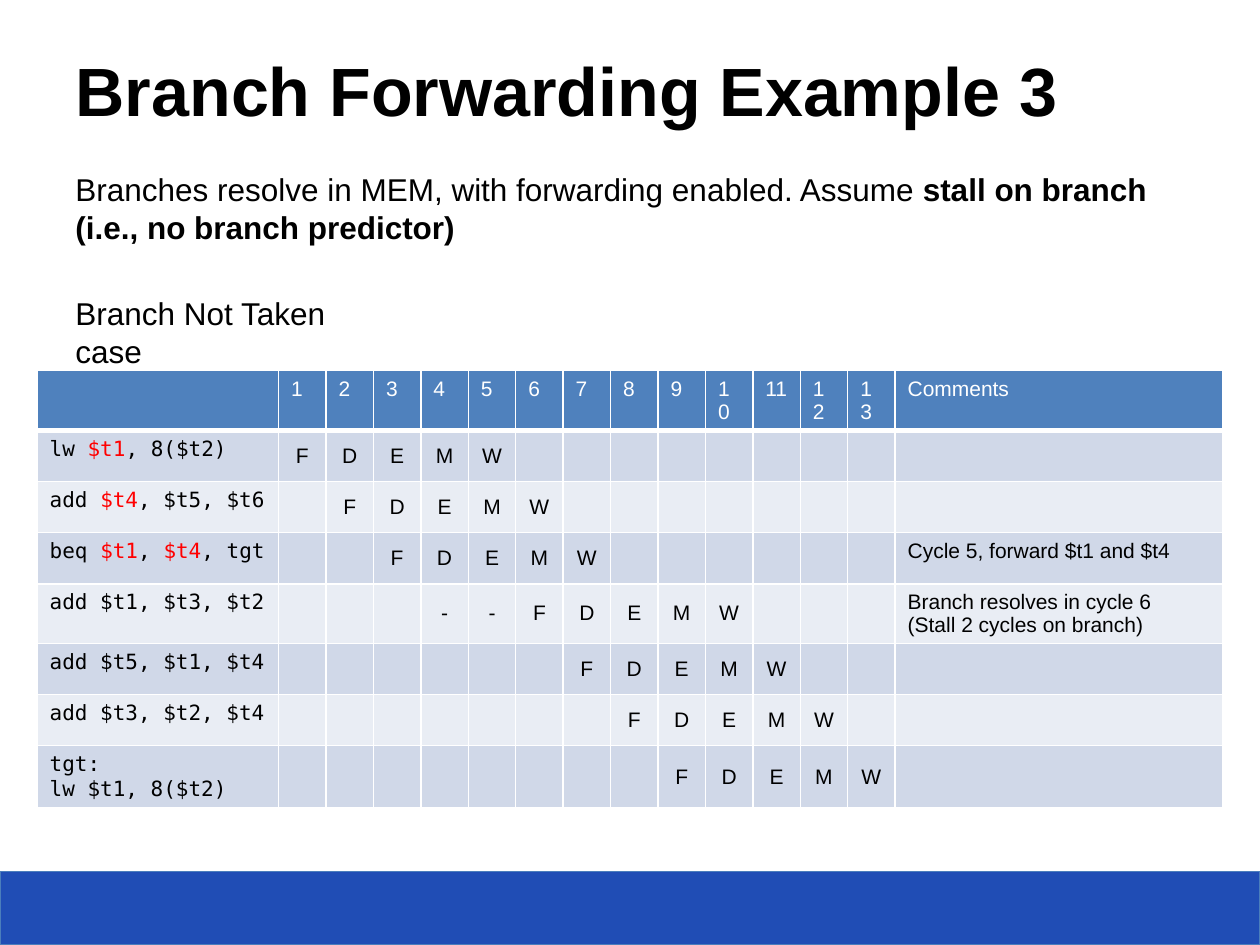
from lxml.etree import SubElement
from pptx import Presentation
from pptx.dml.color import RGBColor
from pptx.enum.shapes import MSO_SHAPE
from pptx.enum.text import MSO_ANCHOR, MSO_AUTO_SIZE, PP_ALIGN
from pptx.oxml.ns import qn
from pptx.util import Pt

FONT, CODE_FONT = "Arial", "DejaVu Sans Mono"
BLACK, WHITE, RED = "000000", "FFFFFF", "FF0000"
BAR, BAR_LINE = "204DB5", "4B7EBC"
HEADER, BANDS = "4F81BD", ("D0D8E8", "E9EDF4")
CYCLES = 13

# Code (registers between bars are red), first cycle, stages, comment lines
INSTRUCTIONS = [
    ("lw |$t1|, 8($t2)", 1, "FDEMW", []),
    ("add |$t4|, $t5, $t6", 2, "FDEMW", []),
    ("beq |$t1|, |$t4|, tgt", 3, "FDEMW", ["Cycle 5, forward $t1 and $t4"]),
    ("add $t1, $t3, $t2", 4, "--FDEMW",
     ["Branch resolves in cycle 6", "(Stall 2 cycles on branch)"]),
    ("add $t5, $t1, $t4", 7, "FDEMW", []),
    ("add $t3, $t2, $t4", 8, "FDEMW", []),
    ("tgt:\nlw $t1, 8($t2)", 9, "FDEMW", []),
]


def rgb(color):
    return RGBColor.from_string(color)


class SlideBuilder:
    def __init__(self, prs):
        self.s = prs.slides.add_slide(prs.slide_layouts[5])

    def style(self, p, size, color=BLACK, font=FONT, bold=None):
        p.font.size, p.font.name, p.font.bold = Pt(size), font, bold
        p.font.color.rgb = rgb(color)

    def bar(self, x, y, w, h):
        sp = self.s.shapes.add_shape(MSO_SHAPE.RECTANGLE, Pt(x), Pt(y), Pt(w), Pt(h))
        sp.shadow.inherit = False
        sp.fill.solid()
        sp.fill.fore_color.rgb = rgb(BAR)
        sp.line.color.rgb = rgb(BAR_LINE)
        sp.line.width = Pt(0.75)

    def title(self, text, x, y, w, h):
        sp = self.s.shapes.title
        sp.left, sp.top, sp.width, sp.height = Pt(x), Pt(y), Pt(w), Pt(h)
        sp.fill.solid()
        sp.fill.fore_color.rgb = rgb(WHITE)
        color = sp.fill._xPr.find(qn("a:solidFill"))[0]
        SubElement(color, qn("a:alpha"), val="70000")
        tf = sp.text_frame
        tf.auto_size = MSO_AUTO_SIZE.NONE
        tf.vertical_anchor = MSO_ANCHOR.BOTTOM
        p = tf.paragraphs[0]
        p.text, p.alignment = text, PP_ALIGN.LEFT
        self.style(p, 39, bold=True)

    def text(self, x, y, w, h, plain, strong=""):
        tf = self.s.shapes.add_textbox(Pt(x), Pt(y), Pt(w), Pt(h)).text_frame
        tf.word_wrap = True
        p = tf.paragraphs[0]
        p.add_run().text = plain
        if strong:
            r = p.add_run()
            r.text, r.font.bold = strong, True
        self.style(p, 18)

    def borders(self, cell, bottom=1):
        tc_pr = cell._tc.get_or_add_tcPr()
        for side, width in (("L", 1), ("R", 1), ("T", 1), ("B", bottom)):
            ln = SubElement(tc_pr, qn("a:ln" + side), w=str(Pt(width)))
            SubElement(SubElement(ln, qn("a:solidFill")), qn("a:srgbClr"), val=WHITE)

    def cell(self, cell, fill, lines=(), color=BLACK, bottom=1):
        self.borders(cell, bottom)
        cell.fill.solid()
        cell.fill.fore_color.rgb = rgb(fill)
        cell.text = "\n".join(lines)
        for p in cell.text_frame.paragraphs:
            self.style(p, 12, color)

    def code(self, cell, code):
        p = cell.text_frame.paragraphs[0]
        for n, line in enumerate(code.split("\n")):
            if n:
                p.add_line_break()
            for i, part in enumerate(line.split("|")):
                r = p.add_run()
                r.text = part
                if i % 2:
                    r.font.color.rgb = rgb(RED)
        self.style(p, 12, font=CODE_FONT)

    def pipeline(self, x, y, widths, row_height):
        rows = len(INSTRUCTIONS) + 1
        table = self.s.shapes.add_table(rows, len(widths), Pt(x), Pt(y),
                                        Pt(sum(widths)), Pt(rows * row_height)).table
        table.first_row = table.horz_banding = False
        for column, width in zip(table.columns, widths):
            column.width = Pt(width)
        for row in table.rows:
            row.height = Pt(row_height)

        # Header row
        heads = ["", *map(str, range(1, CYCLES + 1)), "Comments"]
        for c, head in enumerate(heads):
            self.cell(table.cell(0, c), HEADER, [head], WHITE, 3)

        # One row for each instruction
        for n, (code, start, stages, comment) in enumerate(INSTRUCTIONS):
            cells = table.rows[n + 1].cells
            values = dict(enumerate(stages, start))
            for c, cell in enumerate(cells):
                lines = comment if c > CYCLES else [values.get(c, "")]
                self.cell(cell, BANDS[n % 2], lines)
                if c in values:
                    cell.vertical_anchor = MSO_ANCHOR.MIDDLE
                    cell.text_frame.paragraphs[0].alignment = PP_ALIGN.CENTER
            self.code(cells[0], code)


def main():
    prs = Presentation()
    prs.slide_width, prs.slide_height = Pt(720), Pt(540)
    slide = SlideBuilder(prs)

    # Footer bar and pipeline table
    slide.bar(0, 498, 720, 42)
    slide.pipeline(21.2, 211.8, [138] + [27.1] * CYCLES + [187], 29.25)

    # Heading and text
    slide.title("Branch Forwarding Example 3", 36, 18, 669, 60)
    slide.text(36, 93.6, 663, 51,
               "Branches resolve in MEM, with forwarding enabled. Assume ",
               "stall on branch (i.e., no branch predictor)")
    slide.text(36, 164.4, 181, 29, "Branch Not Taken case")

    prs.save("out.pptx")


if __name__ == "__main__":
    main()
